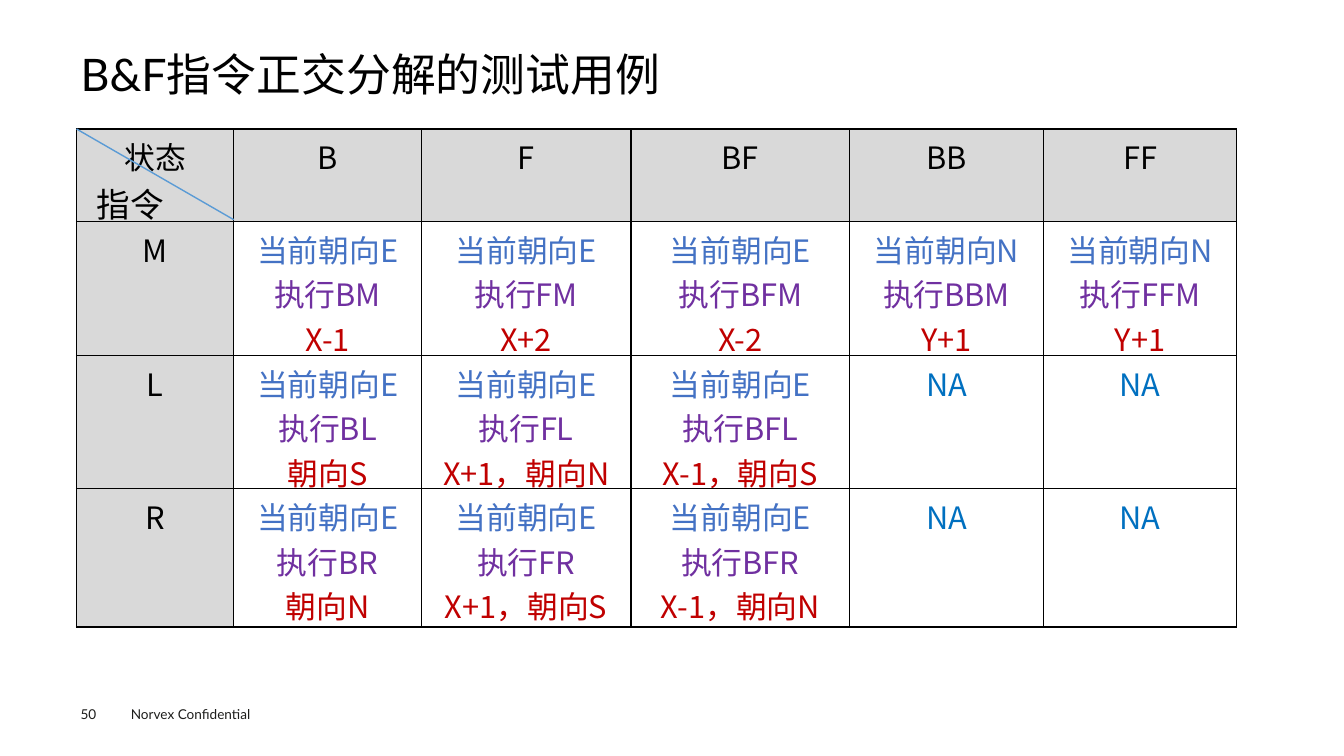
from dataclasses import dataclass

from lxml import etree
from pptx import Presentation
from pptx.dml.color import RGBColor
from pptx.enum.shapes import MSO_CONNECTOR
from pptx.enum.text import MSO_ANCHOR, PP_ALIGN
from pptx.oxml import parse_xml
from pptx.oxml.ns import nsdecls, qn
from pptx.util import Emu, Inches, Pt

STRAIGHT = MSO_CONNECTOR.STRAIGHT
TOP, MIDDLE = MSO_ANCHOR.TOP, MSO_ANCHOR.MIDDLE
LEFT, CENTER = PP_ALIGN.LEFT, PP_ALIGN.CENTER

BLACK = RGBColor(0x00, 0x00, 0x00)
FOOTER_INK = RGBColor(0x1D, 0x1D, 0x1B)
HEADING_GREY = RGBColor(0xD9, 0xD9, 0xD9)
FACING_BLUE = RGBColor(0x44, 0x72, 0xC4)
COMMAND_PURPLE = RGBColor(0x70, 0x30, 0xA0)
RESULT_RED = RGBColor(0xC0, 0x00, 0x00)
NA_BLUE = RGBColor(0x00, 0x70, 0xC0)
DIAGONAL_BLUE = RGBColor(0x5B, 0x9B, 0xD5)

LATO, NOTO = "Lato", "Noto Sans CJK SC"
SLIDE_WIDTH, SLIDE_HEIGHT = Inches(13.333), Inches(7.5)

GRID_LEFT, GRID_TOP = 5.7, 17.07
COLUMN_SHARES = (11.7, 13.95, 15.6, 16.28, 14.4, 14.4)
ROW_SHARES = (12.27, 17.73, 17.6, 18.27)


@dataclass(frozen=True)
class State:
    name: str
    facing: str


@dataclass(frozen=True)
class Instruction:
    name: str
    results: tuple[str, ...]


@dataclass(frozen=True)
class Label:
    text: str
    left: float
    top: float
    width: float
    height: float
    size: float
    font: str = LATO
    color: RGBColor = BLACK
    inset: bool = True
    anchor: MSO_ANCHOR = TOP
    spacing: float = 1.0


STATES = (
    State("B", "E"),
    State("F", "E"),
    State("BF", "E"),
    State("BB", "N"),
    State("FF", "N"),
)
INSTRUCTIONS = (
    Instruction("M", ("X-1", "X+2", "X-2", "Y+1", "Y+1")),
    Instruction("L", ("朝向S", "X+1，朝向N", "X-1，朝向S", "", "")),
    Instruction("R", ("朝向N", "X+1，朝向S", "X-1，朝向N", "", "")),
)
FOOTERS = (
    Label("Norvex Confidential", 9, 92.67, 12, 3.6, 9.7, color=FOOTER_INK),
    Label("50", 6, 93.33, 4.13, 2.13, 9.7, color=FOOTER_INK, inset=False),
)
TITLE = Label("B&F指令正交分解的测试用例", 6, 6.53, 87.98, 7.2, 32,
              inset=False, anchor=MIDDLE, spacing=0.9)
CORNER_LABEL = Label("指令", 6.45, 23.73, 8.03, 6.67, 24, font=NOTO)


def across(percent: float) -> Emu:
    return Emu(round(SLIDE_WIDTH * percent / 100))


def down(percent: float) -> Emu:
    return Emu(round(SLIDE_HEIGHT * percent / 100))


def write(paragraph, text: str, *, size: float, font: str, color: RGBColor,
          align: PP_ALIGN = LEFT, spacing: float = 1.0) -> None:
    paragraph.alignment = align
    paragraph.line_spacing = spacing
    run = paragraph.add_run()
    run.text = text
    run.font.size = Pt(size)
    run.font.color.rgb = color
    run.font.name = font
    east_asian = etree.SubElement(run._r.get_or_add_rPr(), qn("a:ea"))
    east_asian.set("typeface", NOTO)


def add_label(slide, label: Label) -> None:
    box = slide.shapes.add_textbox(across(label.left), down(label.top),
                                   across(label.width), down(label.height))
    frame = box.text_frame
    frame.word_wrap = True
    frame.vertical_anchor = label.anchor
    if not label.inset:
        frame.margin_left = frame.margin_right = 0
        frame.margin_top = frame.margin_bottom = 0
    write(frame.paragraphs[0], label.text, size=label.size, font=label.font,
          color=label.color, spacing=label.spacing)


def add_borders(cell) -> None:
    properties = cell._tc.get_or_add_tcPr()
    for side in ("lnL", "lnR", "lnT", "lnB"):
        properties.append(parse_xml(
            f'<a:{side} {nsdecls("a")} w="{Pt(1)}"><a:solidFill>'
            f'<a:srgbClr val="{BLACK}"/></a:solidFill></a:{side}>'))


def fill_cell(cell, lines: list[tuple[str, RGBColor]], heading: bool) -> None:
    add_borders(cell)
    if heading:
        cell.fill.solid()
        cell.fill.fore_color.rgb = HEADING_GREY
    else:
        cell.fill.background()
    frame = cell.text_frame
    for index, (text, color) in enumerate(lines):
        paragraph = frame.add_paragraph() if index else frame.paragraphs[0]
        write(paragraph, text, size=22, font=NOTO, color=color, align=CENTER)


def case_lines(state: State, instruction: Instruction,
               result: str) -> list[tuple[str, RGBColor]]:
    if not result:
        return [("NA", NA_BLUE)]
    return [
        (f"当前朝向{state.facing}", FACING_BLUE),
        (f"执行{state.name}{instruction.name}", COMMAND_PURPLE),
        (result, RESULT_RED),
    ]


def add_test_cases(slide) -> None:
    cases = slide.shapes.add_table(
        len(ROW_SHARES), len(COLUMN_SHARES), across(GRID_LEFT), down(GRID_TOP),
        across(sum(COLUMN_SHARES)), down(sum(ROW_SHARES))).table
    cases.first_row = False
    cases.horz_banding = False
    for column, share in zip(cases.columns, COLUMN_SHARES):
        column.width = across(share)
    for row, share in zip(cases.rows, ROW_SHARES):
        row.height = down(share)

    for column, heading in enumerate(("状态", *(s.name for s in STATES))):
        fill_cell(cases.cell(0, column), [(heading, BLACK)], True)
    for row, instruction in enumerate(INSTRUCTIONS, 1):
        fill_cell(cases.cell(row, 0), [(instruction.name, BLACK)], True)
        for column, (state, result) in enumerate(
                zip(STATES, instruction.results), 1):
            fill_cell(cases.cell(row, column),
                      case_lines(state, instruction, result), False)


def add_corner_diagonal(slide) -> None:
    diagonal = slide.shapes.add_connector(
        STRAIGHT, across(GRID_LEFT), down(GRID_TOP),
        across(GRID_LEFT + COLUMN_SHARES[0]), down(GRID_TOP + 12))
    diagonal.line.color.rgb = DIAGONAL_BLUE
    diagonal.line.width = Pt(1)
    etree.SubElement(diagonal._element.spPr, qn("a:effectLst"))


def main() -> None:
    presentation = Presentation()
    presentation.slide_width = SLIDE_WIDTH
    presentation.slide_height = SLIDE_HEIGHT
    slide = presentation.slides.add_slide(presentation.slide_layouts[6])
    for label in (*FOOTERS, TITLE):
        add_label(slide, label)
    add_test_cases(slide)
    add_corner_diagonal(slide)
    add_label(slide, CORNER_LABEL)
    presentation.save("out.pptx")


if __name__ == "__main__":
    main()
